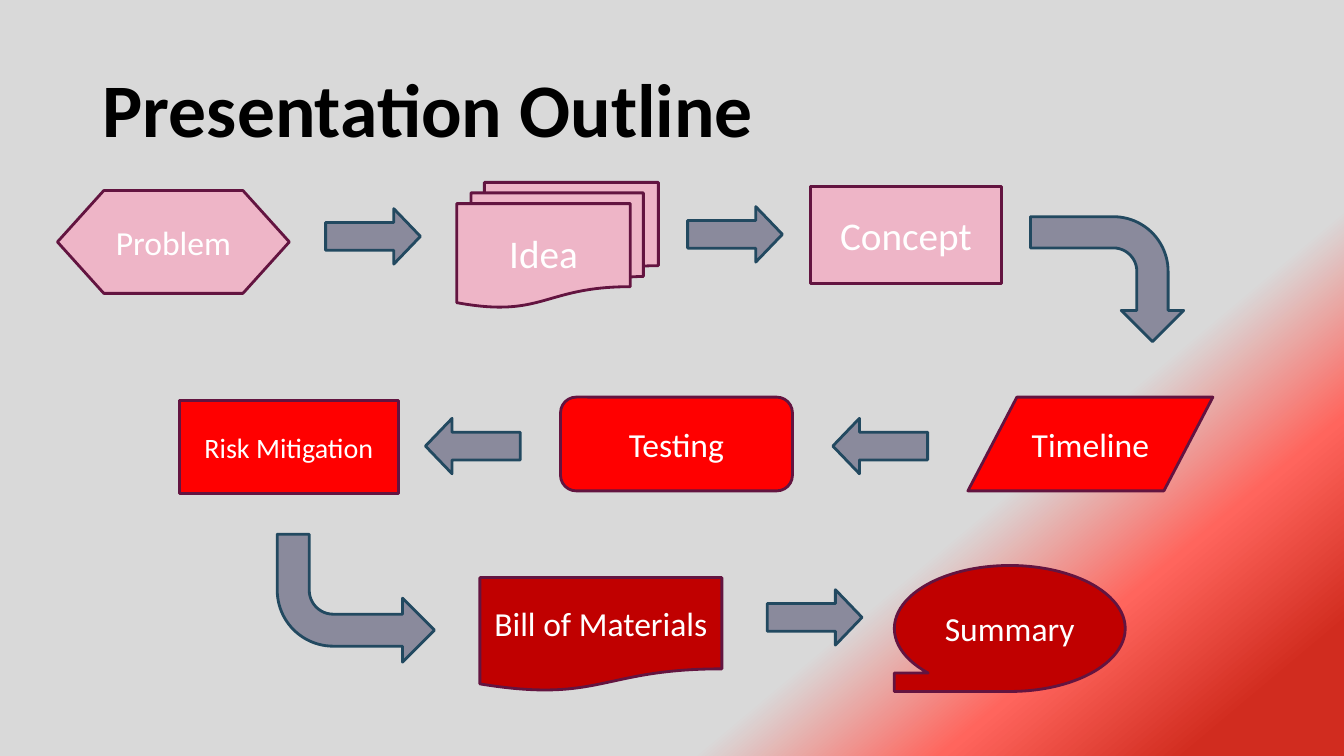
from lxml.etree import SubElement
from pptx import Presentation
from pptx.dml.color import RGBColor
from pptx.enum.shapes import MSO_SHAPE as Preset
from pptx.enum.text import MSO_ANCHOR as Anchor, PP_ALIGN as Align
from pptx.oxml.ns import qn
from pptx.util import Inches, Pt

BLACK = RGBColor(0x00, 0x00, 0x00)
WHITE = RGBColor(0xFF, 0xFF, 0xFF)
PINK = RGBColor(0xEE, 0xB5, 0xC7)
RED = RGBColor(0xFF, 0x00, 0x00)
DARK_RED = RGBColor(0xC0, 0x00, 0x00)
PLUM = RGBColor(0x63, 0x14, 0x40)
SLATE = RGBColor(0x8A, 0x8A, 0x9C)
NAVY = RGBColor(0x22, 0x49, 0x60)
BRICK = RGBColor(0xD1, 0x2C, 0x1F)
CORAL = RGBColor(0xFF, 0x65, 0x5D)
GREY = RGBColor(0xD9, 0xD9, 0xD9)

BACKGROUND_STOPS = [(7, BRICK), (18, CORAL), (29, GREY)]

# label, preset, left, top, width, height, fill, text size, flip
STEPS = [
    ("Problem", Preset.FLOWCHART_PREPARATION, 0.57, 1.89, 2.3, 1.02, PINK, 24, None),
    ("Idea", Preset.FLOWCHART_MULTIDOCUMENT, 4.53, 1.81, 2, 1.24, PINK, 28, None),
    ("Concept", Preset.FLOWCHART_PROCESS, 8.04, 1.85, 1.89, 0.96, PINK, 28, None),
    ("Timeline", Preset.FLOWCHART_DATA, 9.6, 3.94, 2.43, 0.93, RED, 24, None),
    ("Testing", Preset.FLOWCHART_ALTERNATE_PROCESS, 5.56, 3.94, 2.3, 0.93, RED, 24, None),
    ("Risk Mitigation", Preset.FLOWCHART_PROCESS, 1.78, 3.97, 2.17, 0.93, RED, 20, None),
    ("Bill of Materials", Preset.FLOWCHART_DOCUMENT, 4.76, 5.73, 2.4, 1.13, DARK_RED, 24, None),
    ("Summary", Preset.FLOWCHART_SEQUENTIAL_ACCESS_STORAGE, 8.87, 5.61, 2.29, 1.25,
     DARK_RED, 24, "flipH"),
]

# left, top, rotation
STRAIGHT_ARROWS = [
    (3.23, 2.07, 0), (6.82, 2.05, 0),
    (8.26, 4.15, 180), (4.22, 4.15, 180),
    (7.61, 5.85, 0),
]

# left, top, width, height, rotation, flip
BENT_ARROWS = [
    (10.36, 2.01, 1.24, 1.52, 90, None),
    (2.75, 5.3, 1.56, 1.27, 0, "flipV"),
]


def set_all(target, values):
    for name, value in values.items():
        setattr(target, name, value)


def paint_background(slide):
    fill = slide.background.fill
    fill.gradient()
    fill.gradient_angle = 130
    stops = next(slide.element.iter(qn("a:gsLst")))
    for stop in list(stops):
        stops.remove(stop)
    for percent, color in BACKGROUND_STOPS:
        stop = SubElement(stops, qn("a:gs"), pos=str(percent * 1000))
        SubElement(stop, qn("a:srgbClr"), val=str(color))


def write_text(shape, text, size, color, align, bold=False, spacing=None):
    frame = shape.text_frame
    set_all(frame, {"word_wrap": True, "vertical_anchor": Anchor.MIDDLE})
    para = frame.paragraphs[0]
    set_all(para, {"alignment": align, "line_spacing": spacing})
    span = para.add_run()
    span.text = text
    set_all(span.font, {"name": "Calibri", "size": Pt(size), "bold": bold})
    span.font.color.rgb = color


def add_figure(slide, preset, place, fill, outline, rotation=0, flip=None):
    shape = slide.shapes.add_shape(preset, *map(Inches, place))
    shape.shadow.inherit = False
    shape.rotation = rotation
    shape.fill.solid()
    shape.fill.fore_color.rgb = fill
    shape.line.color.rgb = outline
    shape.line.width = Pt(2)
    if flip:
        shape.element.spPr.find(qn("a:xfrm")).set(flip, "1")
    return shape


def main():
    deck = Presentation()
    set_all(deck, {"slide_width": Inches(13.33), "slide_height": Inches(7.5)})
    slide = deck.slides.add_slide(deck.slide_layouts[6])
    paint_background(slide)

    # Title
    title = slide.shapes.add_textbox(*map(Inches, (0.92, 0.4, 11.5, 1.45)))
    write_text(title, "Presentation Outline", 54, BLACK, Align.LEFT, bold=True, spacing=0.9)

    # Outline steps
    for label, preset, left, top, width, height, fill, size, flip in STEPS:
        step = add_figure(slide, preset, (left, top, width, height), fill, PLUM, flip=flip)
        write_text(step, label, size, WHITE, Align.CENTER)

    # Arrows within a row
    for left, top, rotation in STRAIGHT_ARROWS:
        arrow = add_figure(slide, Preset.RIGHT_ARROW, (left, top, 0.94, 0.55),
                           SLATE, NAVY, rotation)
        arrow.adjustments[1] = 0.48

    # Arrows from one row to the next
    for *place, rotation, flip in BENT_ARROWS:
        add_figure(slide, Preset.BENT_ARROW, place, SLATE, NAVY, rotation, flip)

    deck.save("out.pptx")


if __name__ == "__main__":
    main()
